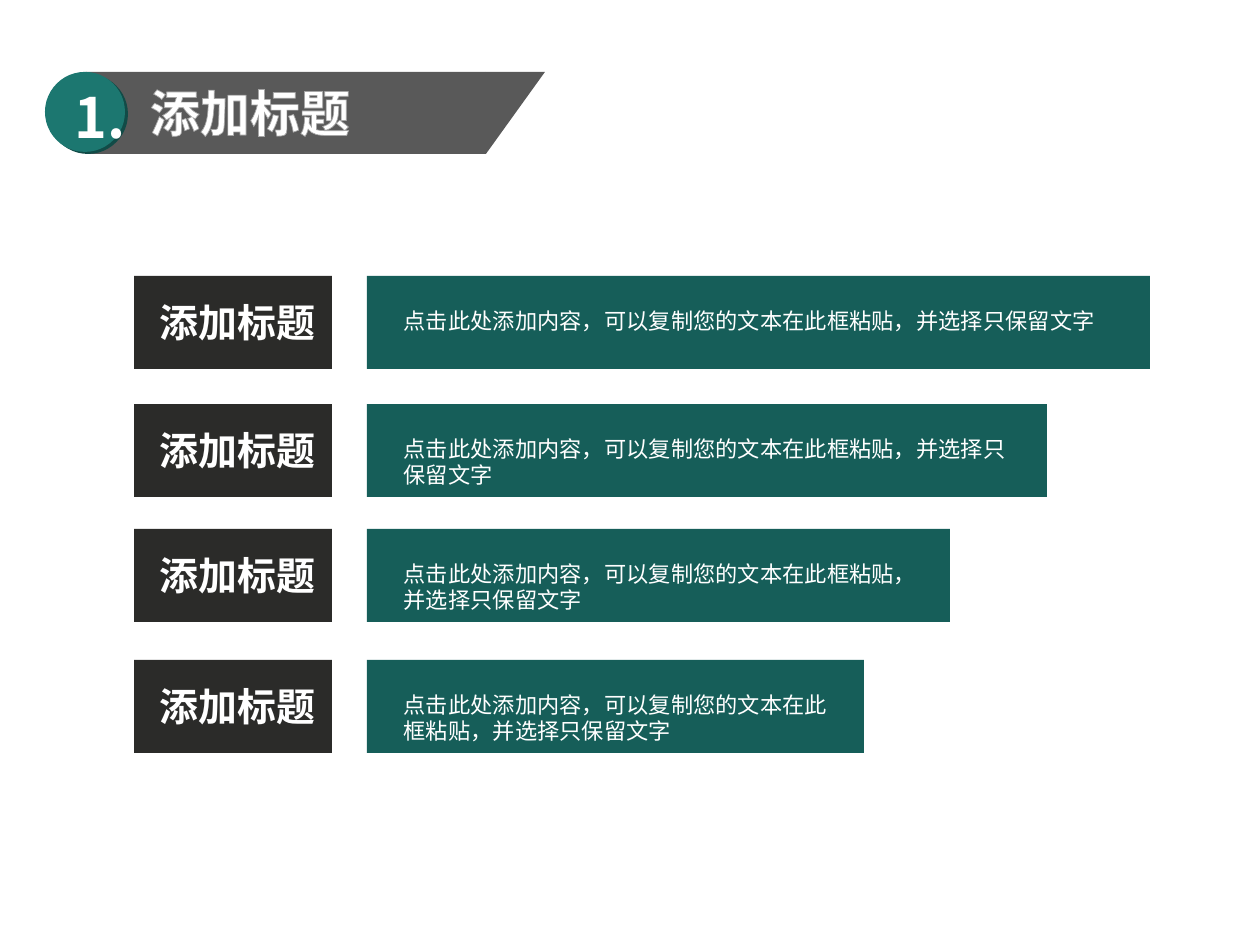
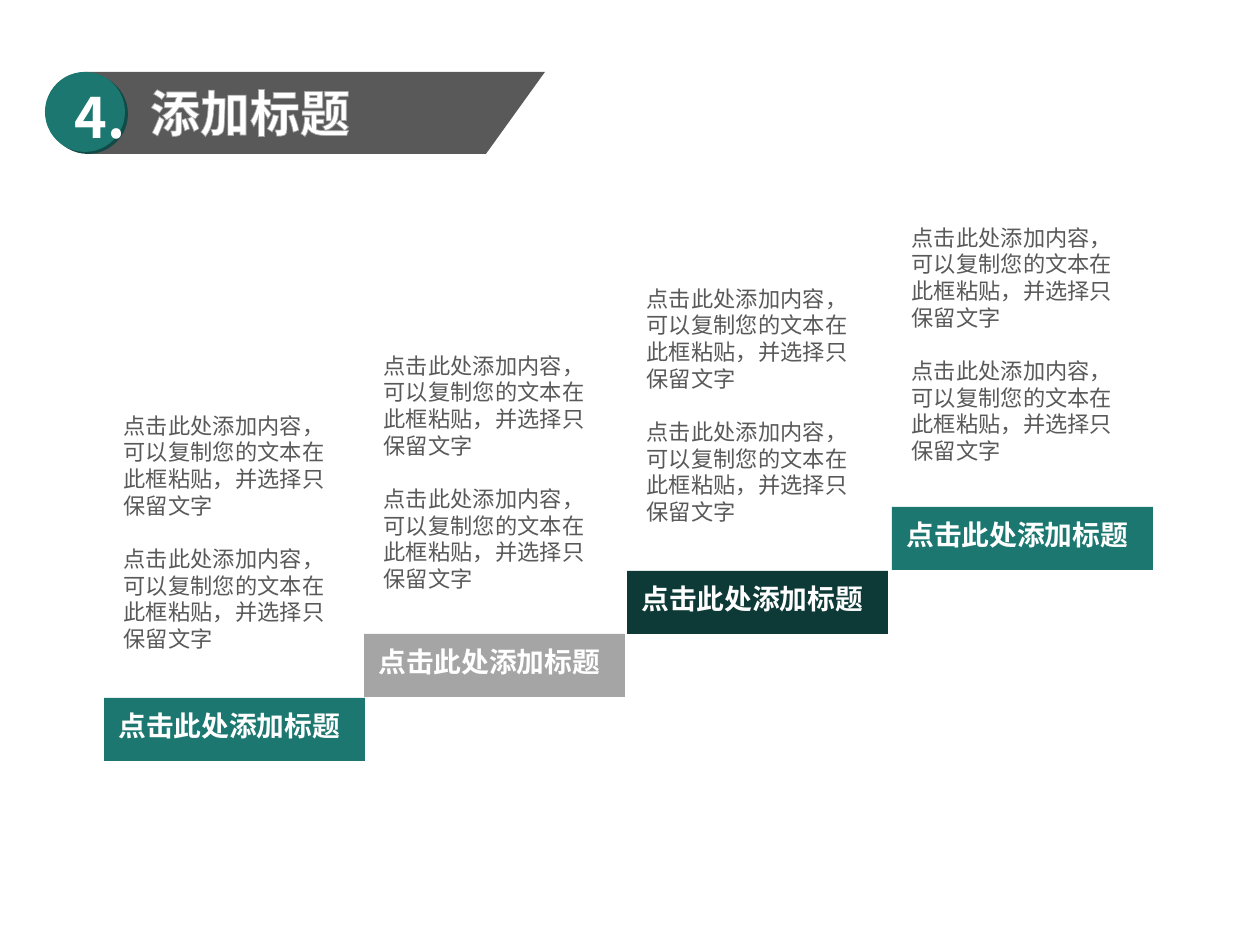
from lxml.etree import SubElement
from pptx import Presentation
from pptx.dml.color import RGBColor
from pptx.enum.shapes import MSO_SHAPE as SHAPE
from pptx.enum.text import MSO_ANCHOR as ANCHOR, MSO_AUTO_SIZE as AUTO_SIZE, PP_ALIGN as ALIGN
from pptx.oxml import parse_xml
from pptx.oxml.ns import nsdecls, qn
from pptx.util import Inches, Pt

PIXEL = Inches(1) // 200
TITLE_ONLY = 5
LINE_RATIO = 1.2

WHITE = RGBColor(0xFF, 0xFF, 0xFF)
GREY = RGBColor(0x59, 0x59, 0x59)
SILVER = RGBColor(0xA5, 0xA5, 0xA5)
CHARCOAL = RGBColor(0x2B, 0x2B, 0x29)
TEAL = RGBColor(0x1C, 0x77, 0x70)
DEEP_TEAL = RGBColor(0x16, 0x5E, 0x59)
SHADE_TEAL = RGBColor(0x11, 0x4B, 0x47)
DARK_TEAL = RGBColor(0x0D, 0x39, 0x36)

FONT = "Noto Sans CJK SC"
TITLE_FONT = "Arial Narrow"
HEADING = "添加标题"
STEP_HEADING = "点击此处添加标题"
CONTENT = "点击此处添加内容，可以复制您的文本在此框粘贴，并选择只保留文字"

ROWS = [(276, 783), (404, 680), (529, 583), (660, 497)]
STEPS = [
    (104, 698, 402, TEAL),
    (364, 634, 342, SILVER),
    (627, 571, 275, DARK_TEAL),
    (892, 507, 214, TEAL),
]


def px(*lengths):
    return [length * PIXEL for length in lengths]


def add_block(slide, kind, box, fill):
    block = slide.shapes.add_shape(kind, *px(*box))
    block.shadow.inherit = False
    block.fill.solid()
    block.fill.fore_color.rgb = fill
    block.line.fill.background()
    return block


def write(frame, text, size, color, bold=False, wrap=True, font=FONT):
    frame.text = text
    frame.word_wrap = wrap
    frame.auto_size = AUTO_SIZE.NONE
    frame.vertical_anchor = ANCHOR.TOP
    for index, paragraph in enumerate(frame.paragraphs):
        paragraph.line_spacing = Pt(size * LINE_RATIO)
        paragraph.space_before = Pt(size * LINE_RATIO if index else 0)
        for run in paragraph.runs:
            run.font.size = Pt(size)
            run.font.bold = bold
            run.font.name = font
            run.font.color.rgb = color
            SubElement(run.font._element, qn("a:ea")).set("typeface", FONT)


def add_text(slide, box, text, size, color, **style):
    write(slide.shapes.add_textbox(*px(*box)).text_frame, text, size, color, **style)


def outline(run):
    run.font._element.insert(0, parse_xml(
        f'<a:ln {nsdecls("a")} w="9525"><a:solidFill>'
        '<a:srgbClr val="A6A6A6"/></a:solidFill></a:ln>'))


def add_title(slide, number):
    add_block(slide, SHAPE.RECTANGLE, (86, 72, 400, 82), GREY)
    add_block(slide, SHAPE.OVAL, (48, 74, 80, 80), SHADE_TEAL)
    add_block(slide, SHAPE.OVAL, (45, 72, 80, 80), TEAL)
    tip = add_block(slide, SHAPE.ISOSCELES_TRIANGLE, (486, 72, 59, 82), GREY)
    tip.adjustments[0] = 0
    tip._element.spPr.xfrm.set("flipV", "1")
    add_text(slide, (55, 73, 92, 88), number, 20, WHITE, bold=True, wrap=False)

    title = slide.shapes.title
    title.left, title.top, title.width, title.height = px(129, 72, 242, 80)
    write(title.text_frame, HEADING, 18, WHITE, bold=True, wrap=False, font=TITLE_FONT)
    heading = title.text_frame.paragraphs[0]
    heading.alignment = ALIGN.CENTER
    outline(heading.runs[0])
    slide.shapes._spTree.append(title._element)


def add_row(slide, top, width):
    add_block(slide, SHAPE.RECTANGLE, (367, top, width, 93), DEEP_TEAL)
    add_block(slide, SHAPE.RECTANGLE, (134, top, 198, 93), CHARCOAL)
    add_text(slide, (140, top + 13, 200, 68), HEADING, 14, WHITE, bold=True)
    add_text(slide, (384, top + 21, width - 20, 74), CONTENT, 8, WHITE)


def add_step(slide, left, top, text_top, fill):
    add_block(slide, SHAPE.RECTANGLE, (left, top, 261, 63), fill)
    add_text(slide, (left, text_top, 258, 290), f"{CONTENT}\n{CONTENT}", 8, GREY)
    add_text(slide, (left - 5, top + 1, 320, 56), STEP_HEADING, 10, WHITE, bold=True)


def add_slide(deck, number, add_item, items):
    slide = deck.slides.add_slide(deck.slide_layouts[TITLE_ONLY])
    for item in items:
        add_item(slide, *item)
    add_title(slide, number)


def main():
    deck = Presentation()
    deck.slide_width, deck.slide_height = px(1260, 945)
    add_slide(deck, "1.", add_row, ROWS)
    add_slide(deck, "4.", add_step, STEPS)
    deck.save("out.pptx")


main()
